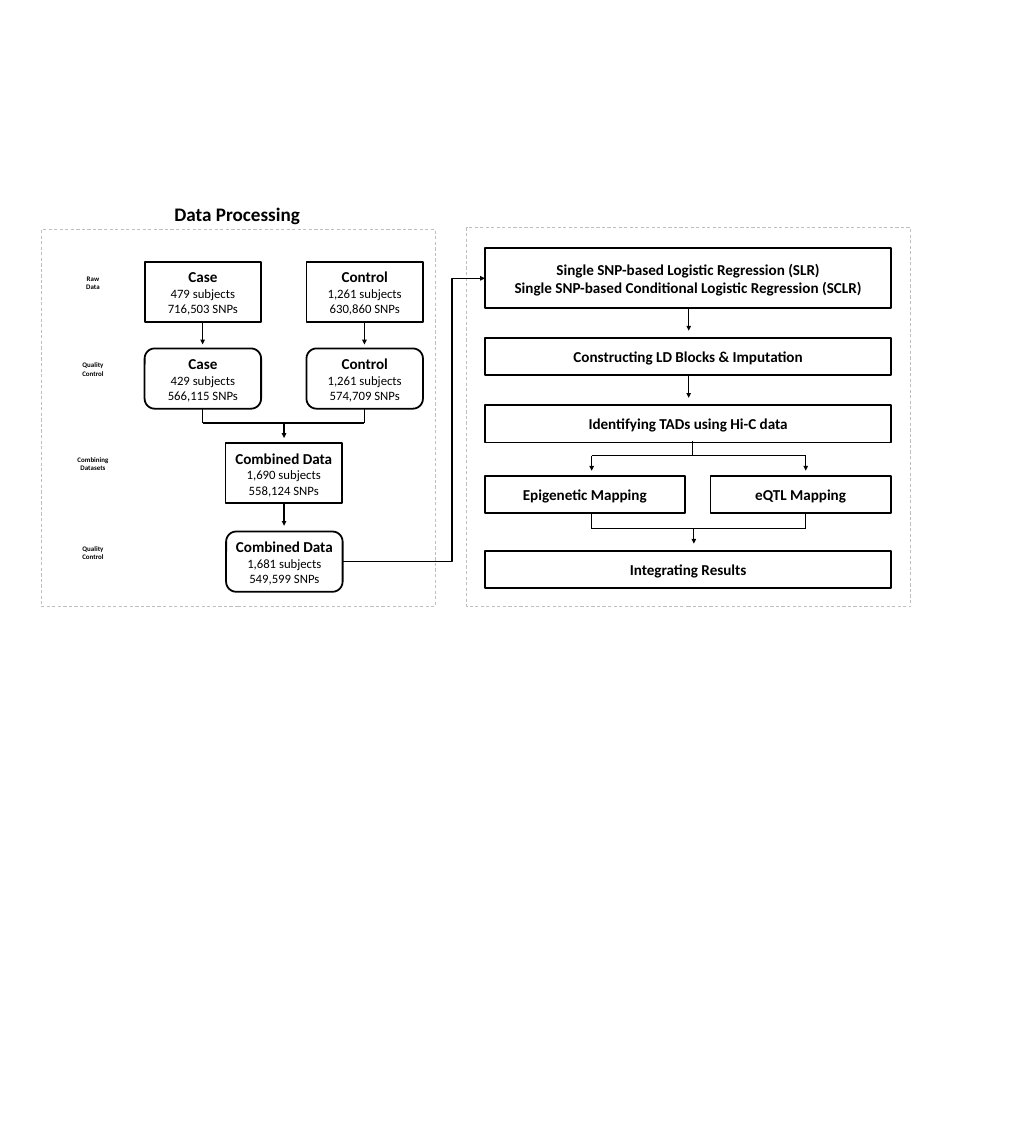
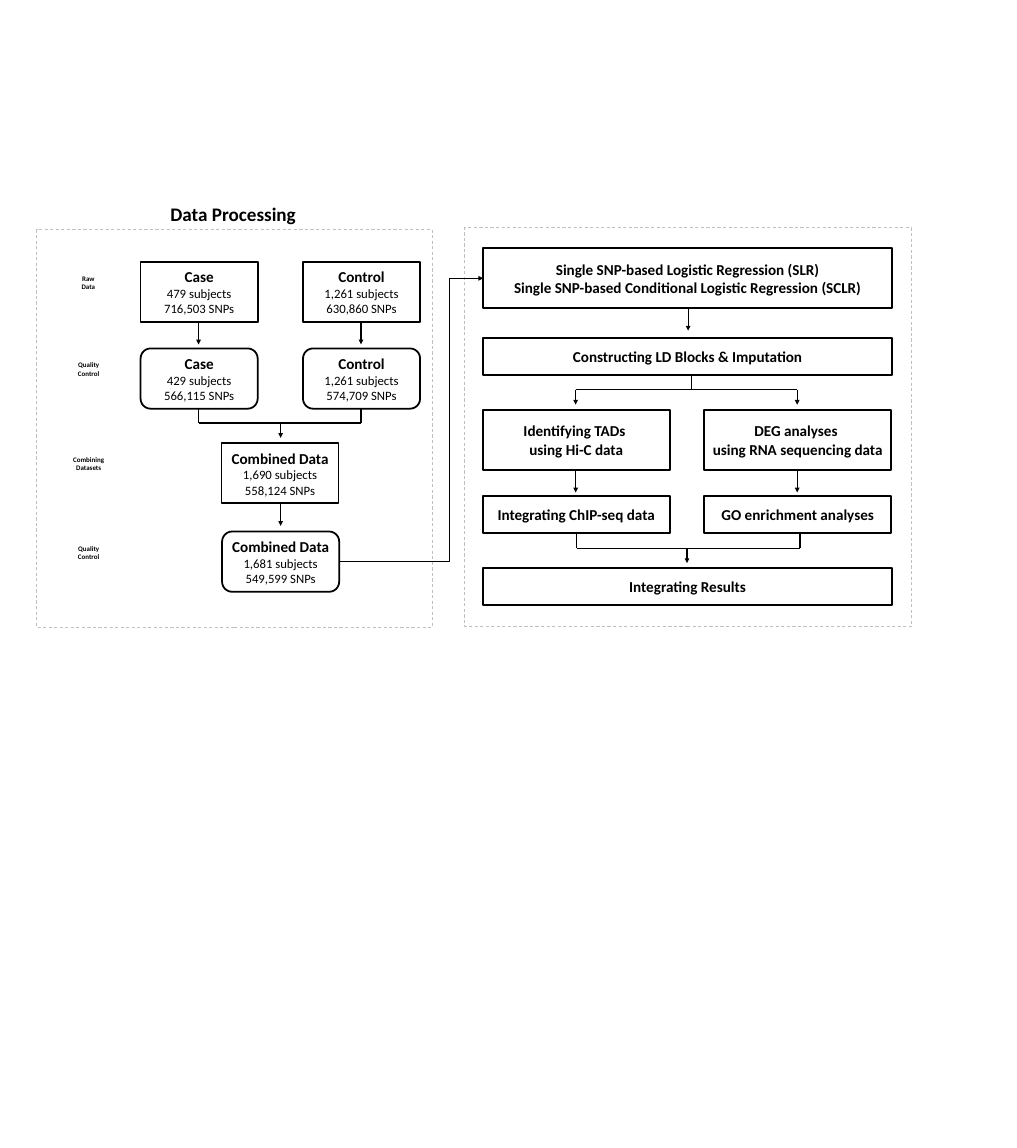
import pptx
import pptx.util
import pptx.dml.color
import pptx.enum.dml
import pptx.enum.shapes
import pptx.enum.text
import pptx.oxml.ns
from dataclasses import dataclass
from lxml import etree

PX = 9144  # EMU per px, 100 px to the inch
RECT = pptx.enum.shapes.MSO_SHAPE.RECTANGLE
ROUND = pptx.enum.shapes.MSO_SHAPE.ROUNDED_RECTANGLE
STRAIGHT = pptx.enum.shapes.MSO_CONNECTOR.STRAIGHT
ELBOW = pptx.enum.shapes.MSO_CONNECTOR.ELBOW
ALIGN = pptx.enum.text.PP_ALIGN
qn = pptx.oxml.ns.qn


@dataclass(frozen=True)
class Theme:
    font: str = "Calibri"
    ink: str = "000000"
    frame: str = "BFBFBF"
    title: float = 24
    head: float = 19
    body: float = 16
    label: float = 8.7
    outline: float = 2.25
    connector: float = 1.5
    frame_line: float = 1


T = Theme()


@dataclass
class Panel:
    """Box of a region; x offsets stretch from base_w to the actual width."""
    shapes: object
    x: int
    y: int
    w: int
    h: int
    base_w: int

    def px(self, x):
        return self.x + round(x * self.w / self.base_w)

    def at(self, x, y, w, h):
        left = self.px(x)
        return left, self.y + y, self.px(x + w) - left, h


def emu(*lengths):
    return [v * PX for v in lengths]


def color(value):
    return pptx.dml.color.RGBColor.from_string(value)


def add_text(tf, text, first=False, size=T.head, bold=True, align=ALIGN.CENTER):
    p = tf.paragraphs[0] if first else tf.add_paragraph()
    p.alignment = align
    p.text = text
    for r in p.runs:
        r.font.name, r.font.size, r.font.bold = T.font, pptx.util.Pt(size), bold
        r.font.color.rgb = color(T.ink)
    for br in p._p.findall(qn("a:br")):
        etree.SubElement(br, qn("a:rPr"), sz=str(round(size * 100)))


def add_box(panel, x, y, w, h, head=(), body=(), kind=RECT):
    sp = panel.shapes.add_shape(kind, *emu(*panel.at(x, y, w, h)))
    sp.shadow.inherit = False
    sp.fill.background()
    sp.line.color.rgb = color(T.ink)
    sp.line.width = pptx.util.Pt(T.outline)
    tf = sp.text_frame
    tf.word_wrap = True
    tf.vertical_anchor = pptx.enum.text.MSO_ANCHOR.MIDDLE
    for i, text in enumerate(head):
        add_text(tf, text, first=i == 0)
    for text in body:
        add_text(tf, text, size=T.body, bold=False)
    return sp


def add_frame(panel):
    sp = add_box(panel, 0, 0, panel.base_w, panel.h)
    sp.line.color.rgb = color(T.frame)
    sp.line.width = pptx.util.Pt(T.frame_line)
    sp.line.dash_style = pptx.enum.dml.MSO_LINE.DASH


def add_label(panel, x, y, w, h, text, **fmt):
    sp = panel.shapes.add_textbox(*emu(*panel.at(x, y, w, h)))
    tf = sp.text_frame
    tf.word_wrap = False
    tf.auto_size = pptx.enum.text.MSO_AUTO_SIZE.SHAPE_TO_FIT_TEXT
    add_text(tf, text, first=True, **fmt)


def connect(shapes, x1, y1, x2, y2, arrow=False, kind=STRAIGHT):
    c = shapes.add_connector(kind, *emu(x1, y1, x2, y2))
    c.line.color.rgb = color(T.ink)
    c.line.width = pptx.util.Pt(T.connector)
    if arrow:
        etree.SubElement(c.line._get_or_add_ln(), qn("a:tailEnd"), type="triangle")
    etree.SubElement(c._element.spPr, qn("a:effectLst"))
    return c


def add_line(panel, x1, y1, x2, y2, arrow=False):
    connect(panel.shapes, panel.px(x1), panel.y + y1, panel.px(x2), panel.y + y2, arrow)


def add_drop(panel, x, y):
    add_line(panel, x, y, x, y + 39, arrow=True)


def add_fork(panel, y, starts, ends):
    """Lines down from starts to a crossbar, arrows down from it to ends."""
    bar = y + 25
    xs = [*starts, *ends]
    for x in starts:
        add_line(panel, x, y, x, bar)
    add_line(panel, min(xs), bar, max(xs), bar)
    for x in ends:
        add_line(panel, x, bar, x, bar + 26, arrow=True)


# Data processing: y, label, label width, box shape, boxes (x, head, subjects, SNPs)
STAGES = [
    (56, "Raw\nData", 44, RECT, [(180, "Case", "479", "716,503"),
                                 (462, "Control", "1,261", "630,860")]),
    (207, "Quality\nControl", 58, ROUND, [(180, "Case", "429", "566,115"),
                                          (462, "Control", "1,261", "574,709")]),
    (372, "Combining\nDatasets", 75, RECT, [(321, "Combined Data", "1,690", "558,124")]),
    (526, "Quality\nControl", 58, ROUND, [(322, "Combined Data", "1,681", "549,599")]),
]


def data_panel(panel):
    add_frame(panel)
    add_label(panel, 222, -52, 241, 50, "Data Processing", size=T.title, align=ALIGN.JUSTIFY)
    for y, label, w, kind, boxes in STAGES:
        add_label(panel, 90 - w / 2, y + 17, w, 40, label, size=T.label)
        for x, head, subjects, snps in boxes:
            add_box(panel, x, y, 203, 105, [head],
                    [f"{subjects} subjects", f"{snps} SNPs"], kind)
    arms = 281, 563
    for x in arms:
        add_drop(panel, x, 161)
    add_fork(panel, 312, arms, [423])
    add_drop(panel, 423, 477)


# Analysis: steps common to both flows
def analysis_start(panel):
    add_frame(panel)
    add_box(panel, 32, 35, 708, 105, [
        "Single SNP-based Logistic Regression (SLR)",
        "Single SNP-based Conditional Logistic Regression (SCLR)"])
    add_drop(panel, 387, 140)
    add_box(panel, 32, 192, 708, 65, ["Constructing LD Blocks & Imputation"])


def analysis_end(panel, y, arms, stem):
    add_fork(panel, y - 64 + (y > 570) * 5, arms, [stem])
    add_box(panel, 32, y, 708, 65, ["Integrating Results"])


def mapping_panel(panel):
    analysis_start(panel)
    arms = 218, 591
    add_drop(panel, 387, 257)
    add_box(panel, 32, 309, 708, 65, ["Identifying TADs using Hi-C data"])
    add_fork(panel, 372, [394], arms)
    add_box(panel, 32, 432, 348, 65, ["Epigenetic Mapping"])
    add_box(panel, 425, 432, 314, 65, ["eQTL Mapping"])
    analysis_end(panel, 563, arms, 396)


def expression_panel(panel):
    analysis_start(panel)
    arms = 192, 576
    add_fork(panel, 257, [393], arms)
    branches = [("Identifying TADs \nusing Hi-C data", "Integrating ChIP-seq data"),
                ("DEG analyses \nusing RNA sequencing data", "GO enrichment analyses")]
    for i, (analysis, follow_up) in enumerate(branches):
        x = 31 + 384 * i
        add_box(panel, x, 317, 324, 105, [analysis])
        add_drop(panel, arms[i], 422)
        add_box(panel, x, 467, 324, 65, [follow_up])
    analysis_end(panel, 592, (194, 581), 385)


def add_bridge(data, analysis):
    """Elbow from the last data box to the first analysis box."""
    c = connect(data.shapes, data.px(525), data.y + 578, analysis.px(32),
                analysis.y + 88, arrow=True, kind=ELBOW)
    av = c._element.spPr.find(qn("a:prstGeom")).find(qn("a:avLst"))
    etree.SubElement(av, qn("a:gd"), name="adj1", fmla="val 76800")


def flow_slide(prs, data_box, analysis_box, draw_analysis, grouped):
    s = prs.slides.add_slide(prs.slide_layouts[6])
    shapes = s.shapes.add_group_shape().shapes if grouped else s.shapes
    data = Panel(shapes, *data_box, base_w=686)
    analysis = Panel(shapes, *analysis_box, base_w=774)
    data_panel(data)
    draw_analysis(analysis)
    add_bridge(data, analysis)


def main():
    prs = pptx.Presentation()
    prs.slide_width, prs.slide_height = emu(1772, 2000)
    flow_slide(prs, (72, 400, 686, 657), (813, 397, 774, 660), mapping_panel, False)
    flow_slide(prs, (64, 400, 689, 693), (810, 397, 778, 695), expression_panel, True)
    prs.save("out.pptx")


if __name__ == "__main__":
    main()
